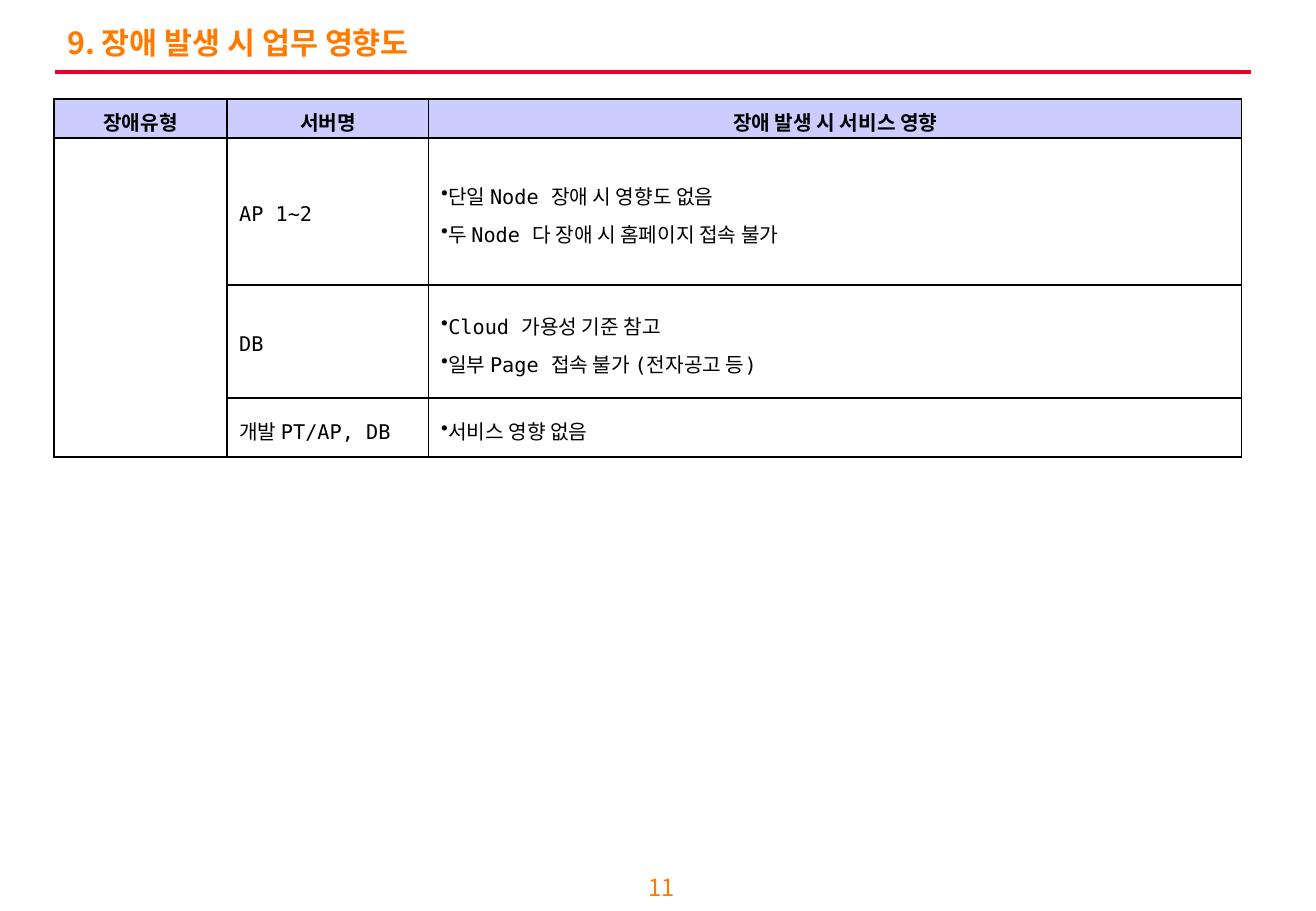
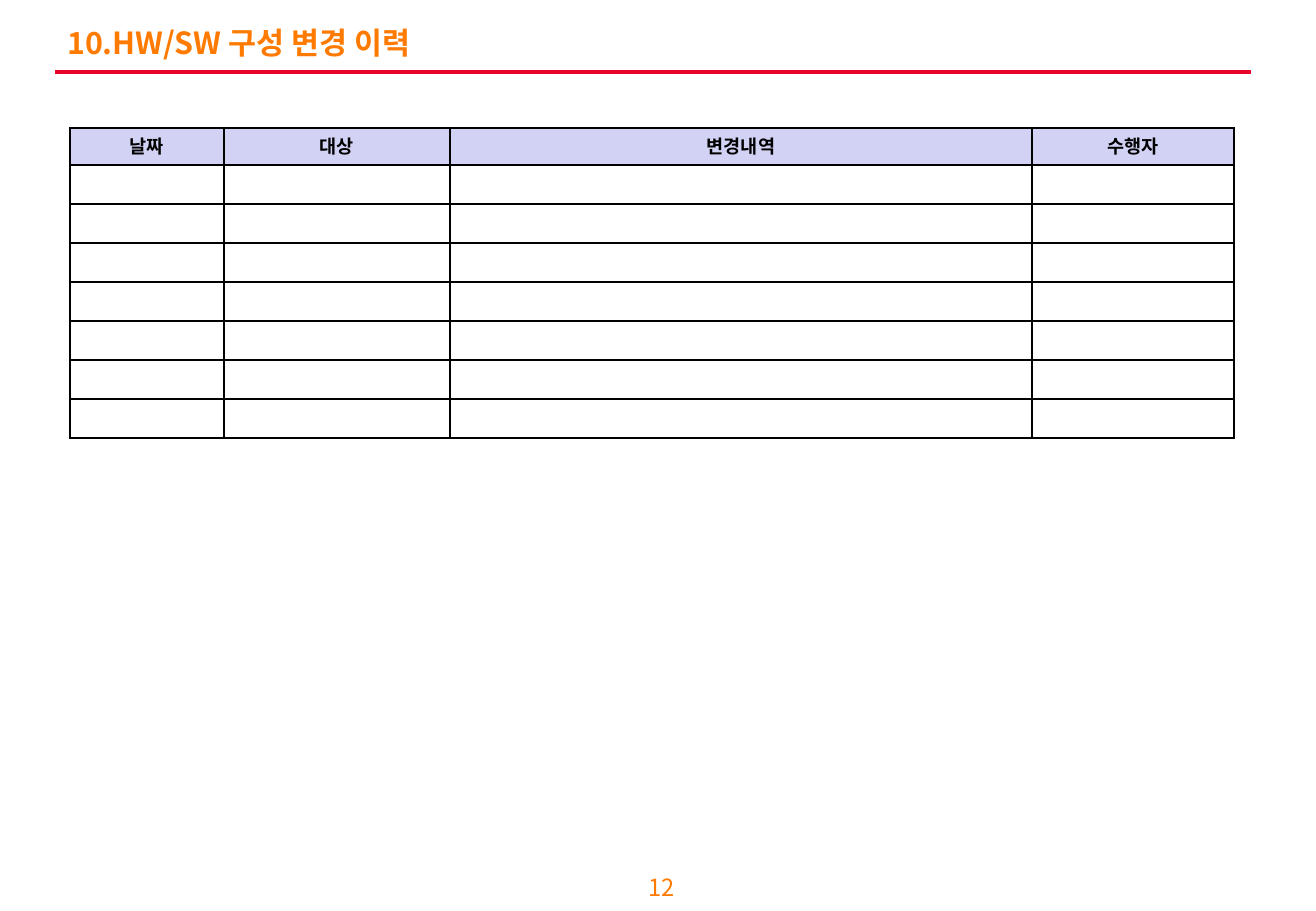
from lxml import etree
from pptx import Presentation
from pptx.dml.color import RGBColor
from pptx.enum.shapes import MSO_CONNECTOR
from pptx.enum.text import MSO_ANCHOR, MSO_AUTO_SIZE, PP_ALIGN
from pptx.oxml.ns import qn
from pptx.util import Emu, Pt

ORANGE = RGBColor(0xFF, 0x7A, 0x00)
RED = RGBColor(0xEA, 0x00, 0x2C)
BLACK = RGBColor(0x00, 0x00, 0x00)
LAVENDER = RGBColor(0xCC, 0xCC, 0xFF)
PALE_LAVENDER = RGBColor(0xD2, 0xD2, 0xF4)
SANS = "Noto Sans CJK KR"
MONO = "DejaVu Sans Mono"
LEFT, CENTER = PP_ALIGN.LEFT, PP_ALIGN.CENTER
MIDDLE = MSO_ANCHOR.MIDDLE
GROW = MSO_AUTO_SIZE.SHAPE_TO_FIT_TEXT
STRAIGHT = MSO_CONNECTOR.STRAIGHT
TITLE_ONLY = 5


def px(n):
    """Turn pixels into EMU."""
    return Emu(round(n * 914400 / 121.5))


def add_xml(parent, tag, **attrs):
    """Append a DrawingML element with the given attributes."""
    el = etree.SubElement(parent, qn(tag))
    for name, value in attrs.items():
        el.set(name, str(value))
    return el


def write(tf, text, size=12, font=SANS, color=BLACK, bold=False, align=LEFT,
          line=None, before=None, bullet=False):
    """Write each line of text as a formatted paragraph."""
    for i, part in enumerate(text.split("\n")):
        p = tf.add_paragraph() if i else tf.paragraphs[0]
        p.alignment = align
        if line:
            p.line_spacing = line
        pPr = p._p.get_or_add_pPr()
        if before:
            add_xml(add_xml(pPr, "a:spcBef"), "a:spcPct", val=before * 1000)
        if bullet:
            add_xml(add_xml(pPr, "a:buClr"), "a:srgbClr", val=BLACK)
            add_xml(pPr, "a:buChar", char="•")
        if not part:
            add_xml(p._p, "a:endParaRPr", sz=size * 100)
            continue
        r = p.add_run()
        r.text = part
        r.font.size, r.font.bold, r.font.name = Pt(size), bold, font
        r.font.color.rgb = color
        add_xml(r._r.get_or_add_rPr(), "a:ea", typeface=SANS)


def add_page(prs, title, number):
    """Add a slide with its title, red rule and page number."""
    s = prs.slides.add_slide(prs.slide_layouts[TITLE_ONLY])
    sp = s.shapes.title
    sp.left, sp.top, sp.width, sp.height = map(px, (55, 22, 1198, 45))
    tf = sp.text_frame
    tf.vertical_anchor, tf.auto_size = MIDDLE, GROW
    write(tf, title, size=18, color=ORANGE, bold=True, line=0.9, before=50)

    rule = s.shapes.add_connector(STRAIGHT, px(55), px(72), px(1251), px(72))
    rule.line.color.rgb, rule.line.width = RED, Pt(2.25)
    add_xml(rule._element.spPr, "a:effectLst")

    tf = s.shapes.add_textbox(*map(px, (620, 868, 84, 38))).text_frame
    tf.word_wrap, tf.vertical_anchor = True, MIDDLE
    write(tf, str(number), size=14, color=ORANGE, align=CENTER)
    return s


def set_borders(cell, **widths):
    """Draw the cell's sides, given as L, R, T, B in points."""
    tcPr = cell._tc.get_or_add_tcPr()
    for side, width in widths.items():
        ln = add_xml(tcPr, "a:ln" + side, w=Pt(width))
        add_xml(add_xml(ln, "a:solidFill"), "a:srgbClr", val=BLACK)


def add_grid(s, left, top, cols, heights, rows, head_fill, inner=1,
             bottom=None, bullet_col=None, merge=None, **fmt):
    """Add a table with a filled header row and ruled cells."""
    frame = s.shapes.add_table(len(heights), len(cols), px(left), px(top),
                               px(sum(cols)), px(sum(heights)))
    table = frame.table
    table.first_row = table.horz_banding = False
    for col, width in zip(table.columns, cols):
        col.width = px(width)
    for row, height in zip(table.rows, heights):
        row.height = px(height)
    if merge:
        first, last = merge
        table.cell(*first).merge(table.cell(*last))
    for i, texts in enumerate(rows):
        for j, text in enumerate(texts):
            cell = table.cell(i, j)
            if cell.is_spanned:
                continue
            head = i == 0
            ends = i + cell.span_height == len(rows)
            set_borders(cell, L=inner if j else 1, R=inner,
                        T=1 if head else inner, B=1 if ends else inner)
            if head:
                cell.fill.solid()
                cell.fill.fore_color.rgb = head_fill
            else:
                cell.fill.background()
            cell.vertical_anchor = MIDDLE
            if bottom is not None:
                cell.margin_bottom = px(bottom)
            write(cell.text_frame, text, bold=head, before=45,
                  align=CENTER if head else LEFT,
                  bullet=not head and j == bullet_col, **fmt)


def impact_slide(prs):
    """Build the slide on the effect of failures."""
    s = add_page(prs, "9. 장애 발생 시 업무 영향도", 11)
    rows = [
        ("장애유형", "서버명", "장애 발생 시 서비스 영향"),
        ("", "AP 1~2", "단일 Node 장애 시 영향도 없음\n"
                       "두 Node 다 장애 시 홈페이지 접속 불가"),
        ("", "DB", "Cloud 가용성 기준 참고\n"
                   "일부 Page 접속 불가 (전자공고 등)"),
        ("", "개발 PT/AP, DB", "서비스 영향 없음"),
    ]
    add_grid(s, 54, 99, (173, 202, 813), (39, 147, 113, 59), rows, LAVENDER,
             inner=0.75, bottom=0, bullet_col=2, merge=((1, 0), (3, 0)),
             size=12, font=MONO)


def history_slide(prs):
    """Build the slide with the empty change log."""
    s = add_page(prs, "10.HW/SW 구성 변경 이력", 12)
    blanks = 7
    rows = [("날짜", "대상", "변경내역", "수행자")] + [("",) * 4] * blanks
    add_grid(s, 70, 128, (154, 226, 582, 202), [37] + [39] * blanks, rows,
             PALE_LAVENDER, size=11, line=0.9)


prs = Presentation()
prs.slide_width, prs.slide_height = px(1316), px(911)
impact_slide(prs)
history_slide(prs)
prs.save("out.pptx")
